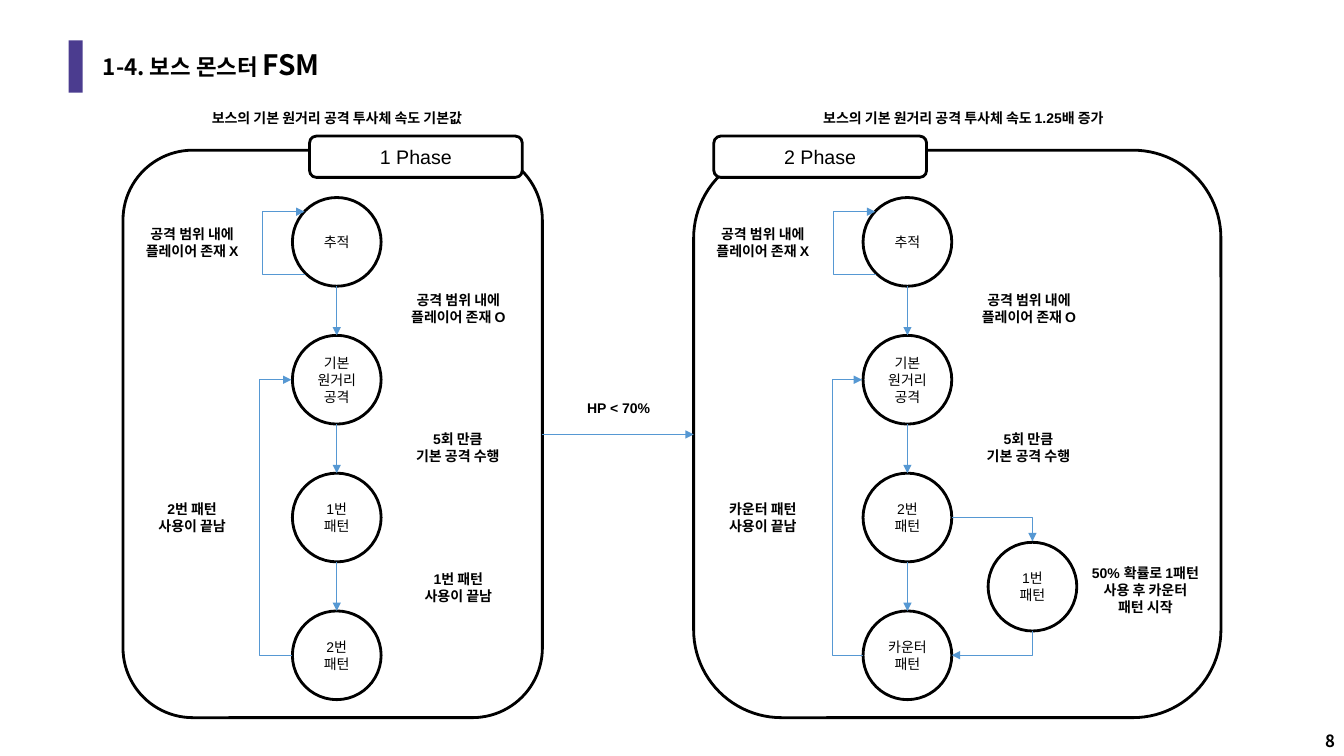
"""Build the boss monster FSM slide."""
from dataclasses import dataclass
from typing import Any

import pptx
import pptx.dml.color
import pptx.enum.shapes
import pptx.enum.text
import pptx.oxml.ns
import pptx.util
from lxml import etree

Inches = pptx.util.Inches
Pt = pptx.util.Pt
Shape = pptx.enum.shapes.MSO_SHAPE
Connector = pptx.enum.shapes.MSO_CONNECTOR
Align = pptx.enum.text.PP_ALIGN
Anchor = pptx.enum.text.MSO_ANCHOR
qn = pptx.oxml.ns.qn


@dataclass(frozen=True)
class Theme:
    """Colours, fonts and sizes of the slide."""
    ink: str = "000000"
    paper: str = "FFFFFF"
    accent: str = "4B3C8F"
    arrow: str = "5698D3"
    latin: str = "Arial"
    korean: str = "Noto Sans CJK KR"
    title: int = 20
    tag: int = 14
    number: int = 12
    body: int = 10
    outline: float = 2
    arrow_width: float = 0.75


@dataclass(frozen=True)
class Box:
    """Position and size in inches."""
    x: float
    y: float
    w: float
    h: float


@dataclass(frozen=True)
class Note:
    """A bold centred text with its place."""
    box: Box
    text: str


@dataclass(frozen=True)
class Phase:
    """One boss phase: frame, tag, states and conditions."""
    name: str
    center: float
    frame: Box
    tag_x: float
    back_x: float
    states: tuple[str, ...]
    notes: tuple[Note, ...]


THEME = Theme()
STATE = 0.88
TOP = 1.96
STEP = 1.367
NUDGE = 0.01
SHIFT = 5.66

IN_RANGE = "공격 범위 내에\n플레이어 존재 "


def shared_notes(dx: float, end: str) -> tuple[Note, ...]:
    """Return the conditions that both phases have."""
    return (
        Note(Box(1.28 + dx, 2.19, 1.25, 0.44), IN_RANGE + "X"),
        Note(Box(3.92 + dx, 2.84, 1.25, 0.44), IN_RANGE + "O"),
        Note(Box(3.9 + dx, 4.22, 1.28, 0.44), "5회 만큼\n기본 공격 수행"),
        Note(Box(1.43 + dx, 4.92, 0.95, 0.44), f"{end} 패턴\n사용이 끝남"),
    )


PHASES = (
    Phase("1 Phase", 3.34, Box(1.22, 1.49, 4.16, 5.63), 3.07, 2.57,
          ("추적", "기본 원거리 공격", "1번 패턴", "2번 패턴"),
          shared_notes(0, "2번") + (
              Note(Box(4.07, 5.61, 0.95, 0.44), "1번 패턴\n사용이 끝남"),
              Note(Box(1.83, 1.04, 3.02, 0.27), "보스의 기본 원거리 공격 투사체 속도 기본값"))),
    Phase("2 Phase", 3.34 + SHIFT, Box(6.88, 1.49, 5.23, 5.63), 7.08, 8.25,
          ("추적", "기본 원거리 공격", "2번 패턴", "카운터 패턴"),
          shared_notes(SHIFT, "카운터") + (
              Note(Box(10.72, 5.55, 1.28, 0.61), "50% 확률로 1패턴 사용 후 카운터 패턴 시작"),
              Note(Box(7.79, 1.04, 3.53, 0.27), "보스의 기본 원거리 공격 투사체 속도 1.25배 증가"))),
)


def rgb(value: str) -> Any:
    """Return a colour object."""
    return pptx.dml.color.RGBColor.from_string(value)


def apply(obj: Any, formats: dict[str, Any]) -> None:
    """Set each attribute named in the dict."""
    for name, value in formats.items():
        setattr(obj, name, value)


def place(sp: Any, box: Box) -> None:
    """Move and size a shape."""
    apply(sp, {"left": Inches(box.x), "top": Inches(box.y),
               "width": Inches(box.w), "height": Inches(box.h)})


def write(sp: Any, text: str, size: int, bold: bool = False, latin: str = THEME.latin,
          align: Any = Align.CENTER, anchor: Any = Anchor.MIDDLE) -> None:
    """Write text into a shape, one paragraph per line."""
    tf = sp.text_frame
    tf.text = text
    apply(tf, {"word_wrap": True, "vertical_anchor": anchor})
    for p in tf.paragraphs:
        p.alignment = align
        for r in p.runs:
            apply(r.font, {"name": latin, "size": Pt(size), "bold": bold})
            r.font.color.rgb = rgb(THEME.ink)
            etree.SubElement(r.font._element, qn("a:ea"), typeface=THEME.korean)


def add_outline(s: Any, kind: Any, box: Box, text: str = "", size: int = THEME.body,
                fill: str = "") -> None:
    """Draw a black outlined shape with optional text and fill."""
    sp = s.shapes.add_shape(kind, *map(Inches, (box.x, box.y, box.w, box.h)))
    sp.shadow.inherit = False
    if fill:
        sp.fill.solid()
        sp.fill.fore_color.rgb = rgb(fill)
    else:
        sp.fill.background()
    sp.line.color.rgb = rgb(THEME.ink)
    sp.line.width = Pt(THEME.outline)
    if text:
        write(sp, text, size)


def add_state(s: Any, x: float, y: float, text: str) -> None:
    """Draw a state circle centred at x with its top at y."""
    add_outline(s, Shape.OVAL, Box(x - STATE / 2, y, STATE, STATE), text)


def add_note(s: Any, note: Note) -> None:
    """Draw a bold condition text."""
    b = note.box
    sp = s.shapes.add_textbox(*map(Inches, (b.x, b.y, b.w, b.h)))
    write(sp, note.text, THEME.body, bold=True, anchor=Anchor.TOP)


def add_arrow(s: Any, box: Box, preset: str = "line", turn: int = 0, bend: float = 0) -> None:
    """Draw an arrow across a box, with a preset route, a turn in degrees and a bend."""
    kind = Connector.STRAIGHT if preset == "line" else Connector.ELBOW
    cx = s.shapes.add_connector(
        kind, *map(Inches, (box.x, box.y, box.x + box.w, box.y + box.h)))
    cx.line.color.rgb = rgb(THEME.arrow)
    cx.line.width = Pt(THEME.arrow_width)
    etree.SubElement(cx.line._get_or_add_ln(), qn("a:tailEnd"), type="triangle")
    pr = cx._element.spPr
    etree.SubElement(pr, qn("a:effectLst"))
    pr.find(qn("a:xfrm")).set("rot", str(turn * 60000))
    geom = pr.find(qn("a:prstGeom"))
    geom.set("prst", preset)
    if bend:
        etree.SubElement(geom.find(qn("a:avLst")), qn("a:gd"),
                         name="adj1", fmla=f"val {round(bend * 100000)}")


def add_loop(s: Any, x: float, top: float, bottom: float, back_x: float) -> None:
    """Draw an arrow from bottom to top that returns at the left."""
    add_arrow(s, Box(x - NUDGE, top, NUDGE, bottom - top), "bentConnector3", 180,
              (x - back_x) / NUDGE)


def add_phase(s: Any, phase: Phase) -> None:
    """Draw one phase."""
    x = phase.center
    tops = [TOP + i * STEP for i in range(len(phase.states))]
    add_outline(s, Shape.ROUNDED_RECTANGLE, phase.frame)
    add_outline(s, Shape.ROUNDED_RECTANGLE, Box(phase.tag_x, 1.35, 2.11, 0.41),
                phase.name, THEME.tag, THEME.paper)
    for y, text in zip(tops, phase.states):
        add_state(s, x, y, text)
    for y in tops[:-1]:
        add_arrow(s, Box(x, y + STATE, 0, STEP - STATE))
    add_loop(s, x - STATE / 2, tops[1] + STATE / 2, tops[-1] + STATE / 2, phase.back_x)
    add_loop(s, x - 0.31, 2.1, 2.72, x - 0.74)
    for note in phase.notes:
        add_note(s, note)


def main() -> None:
    """Build and save the presentation."""
    prs = pptx.Presentation()
    apply(prs, {"slide_width": Inches(13.33), "slide_height": Inches(7.5)})
    s = prs.slides.add_slide(prs.slide_layouts[5])

    bar = s.shapes.add_shape(Shape.RECTANGLE, *map(Inches, (0.68, 0.4, 0.14, 0.52)))
    bar.shadow.inherit = False
    bar.fill.solid()
    bar.fill.fore_color.rgb = rgb(THEME.accent)
    bar.line.fill.background()

    title = s.shapes.title
    place(title, Box(0.92, 0.4, 11.5, 0.52))
    write(title, "1-4. 보스 몬스터 FSM", THEME.title, True, THEME.korean, Align.LEFT)
    p = title.text_frame.paragraphs[0]
    p.line_spacing = 0.9
    p.runs[0].font._element.set("cap", "small")

    number = s.shapes.add_textbox(*map(Inches, (12.42, 7.1, 0.92, 0.4)))
    write(number, "8", THEME.number, True, THEME.korean, Align.RIGHT, Anchor.BOTTOM)

    for phase in PHASES:
        add_phase(s, phase)
    add_state(s, 10.24, 5.38, "1번 패턴")
    add_arrow(s, Box(9.44, 5.13, 0.8, 0.24), "bentConnector2")
    add_arrow(s, Box(9.72, 5.98, 0.24, 0.8), "bentConnector2", 90)
    add_arrow(s, Box(5.38, 4.31, 1.5, 0))
    add_note(s, Note(Box(5.4, 3.91, 1.47, 0.27), "HP < 70%"))
    prs.save("out.pptx")


main()
